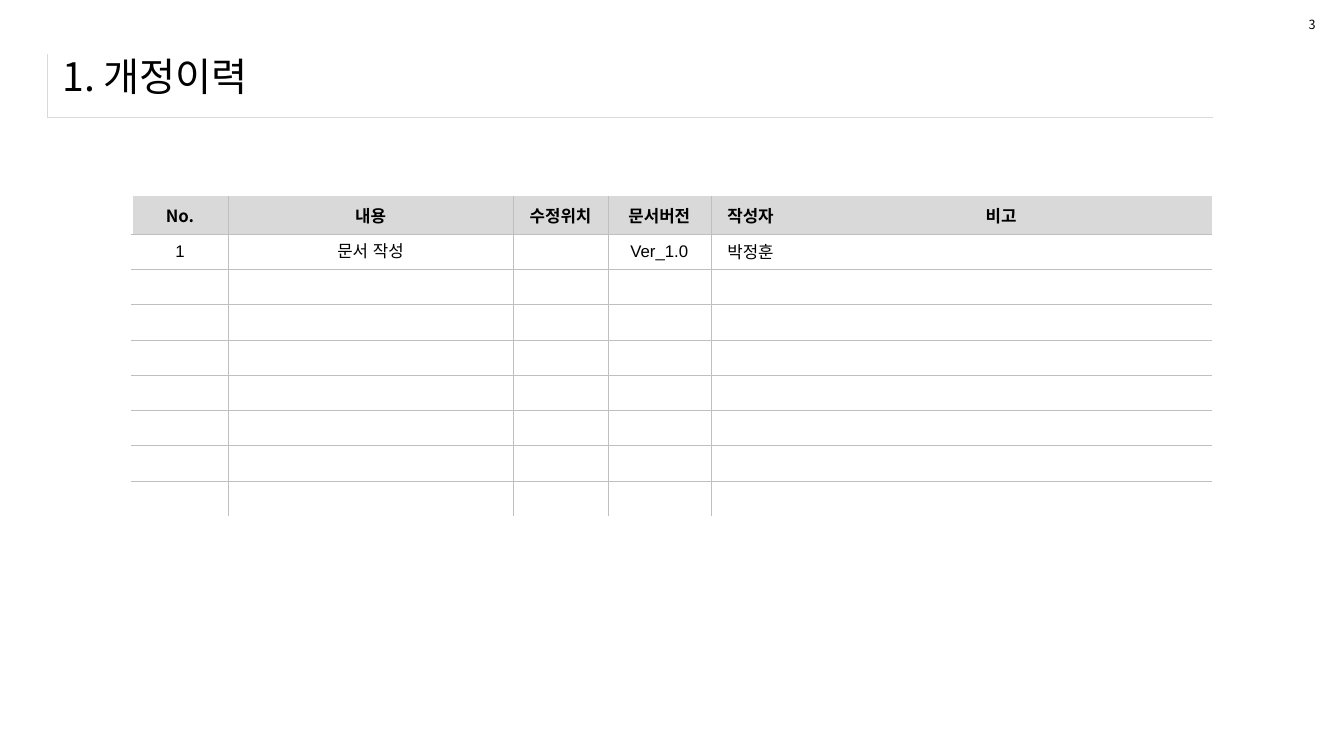
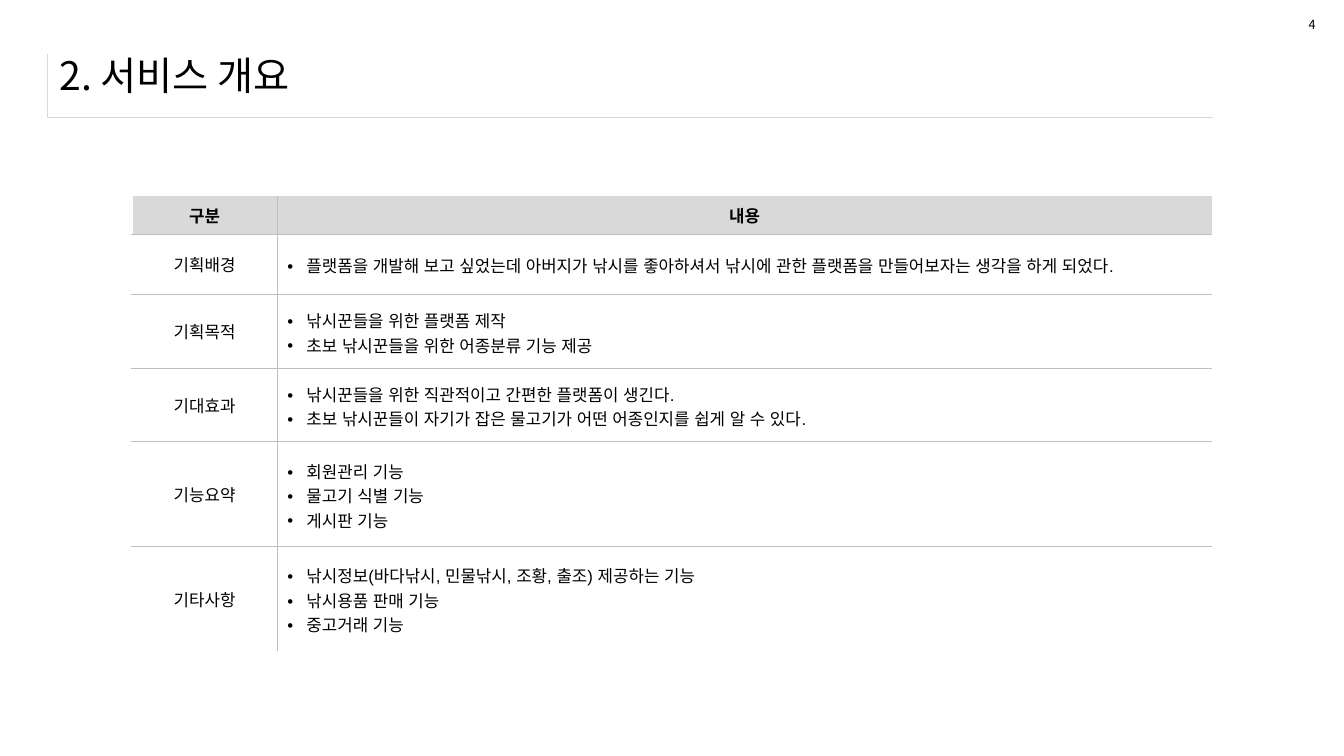
import pptx
import pptx.dml.color
import pptx.enum.text
import pptx.oxml.ns
import pptx.util
from lxml import etree

Inches = pptx.util.Inches
Pt = pptx.util.Pt
RGBColor = pptx.dml.color.RGBColor
Align = pptx.enum.text.PP_ALIGN
Anchor = pptx.enum.text.MSO_ANCHOR
qn = pptx.oxml.ns.qn

BLACK = RGBColor(0x00, 0x00, 0x00)
WHITE = RGBColor(0xFF, 0xFF, 0xFF)
LIGHT_GRAY = RGBColor(0xD9, 0xD9, 0xD9)
RULE_GRAY = RGBColor(0xBF, 0xBF, 0xBF)

KOREAN_FONT = "Noto Sans CJK KR"
LATIN_FONT = "Arial"
TITLE_FONT = {"name": KOREAN_FONT, "size": Pt(28)}
PAGE_FONT = {"name": KOREAN_FONT, "size": Pt(9)}
HEADER_FONT = {"name": KOREAN_FONT, "size": Pt(12), "bold": True}
BODY_FONT = {"name": LATIN_FONT, "size": Pt(12), "bold": False}
AUTHOR_FONT = {"name": KOREAN_FONT, "size": Pt(12), "bold": False}

CENTERED = {"alignment": Align.CENTER}
LABEL = {"alignment": Align.CENTER, "line_spacing": 1.2}
BULLETED = {"alignment": Align.JUSTIFY, "line_spacing": 1.3}

FRAME_RULE = (LIGHT_GRAY, 0.25)
THIN_RULE = (RULE_GRAY, 0.25)
WHITE_EDGE = (WHITE, 1)

FRAME_POSITION = (0.47, 0.54)
TABLE_POSITION = (1.31, 1.94)

HISTORY_ROWS = [
    ["No.", "내용", "수정위치", "문서버전", "작성자", "비고"],
    ["1", "문서 작성", "", "Ver_1.0", "박정훈", ""],
] + [[""] * 6] * 7

OVERVIEW_ROWS = [
    ["구분", "내용"],
    ["기획배경", ["플랫폼을 개발해 보고 싶었는데 아버지가 낚시를 좋아하셔서 "
              "낚시에 관한 플랫폼을 만들어보자는 생각을 하게 되었다."]],
    ["기획목적", ["낚시꾼들을 위한 플랫폼 제작",
              "초보 낚시꾼들을 위한 어종분류 기능 제공"]],
    ["기대효과", ["낚시꾼들을 위한 직관적이고 간편한 플랫폼이 생긴다.",
              "초보 낚시꾼들이 자기가 잡은 물고기가 어떤 어종인지를 쉽게 알 수 있다."]],
    ["기능요약", ["회원관리 기능", "물고기 식별 기능", "게시판 기능"]],
    ["기타사항", ["낚시정보(바다낚시, 민물낚시, 조황, 출조) 제공하는 기능",
              "낚시용품 판매 기능", "중고거래 기능"]],
]


def apply_format(target, values):
    for name, value in values.items():
        setattr(target, name, value)


def write_paragraph(paragraph, text, font, layout):
    apply_format(paragraph, layout)
    if not text:
        end = etree.SubElement(paragraph._p, qn("a:endParaRPr"))
        end.set("sz", str(int(font["size"].pt * 100)))
        return
    run = paragraph.add_run()
    run.text = text
    apply_format(run.font, font)
    run.font.color.rgb = BLACK
    east_asian = etree.SubElement(run._r.get_or_add_rPr(), qn("a:ea"))
    east_asian.set("typeface", font["name"])


def add_bullet(paragraph):
    properties = paragraph._p.get_or_add_pPr()
    properties.set("marL", str(Inches(0.19)))
    properties.set("indent", str(Inches(-0.19)))
    etree.SubElement(properties, qn("a:buFont")).set("typeface", LATIN_FONT)
    etree.SubElement(properties, qn("a:buChar")).set("char", "•")


def add_text(slide, box, text, font, frame_format):
    shape = slide.shapes.add_textbox(*map(Inches, box))
    apply_format(shape.text_frame, frame_format)
    write_paragraph(shape.text_frame.paragraphs[0], text, font, {})


def set_borders(cell, borders):
    properties = cell._tc.get_or_add_tcPr()
    for side in ("L", "R", "T", "B"):
        line = etree.SubElement(properties, qn("a:ln" + side))
        if side not in borders:
            etree.SubElement(line, qn("a:noFill"))
            continue
        color, width = borders[side]
        line.set("w", str(Pt(width)))
        fill = etree.SubElement(line, qn("a:solidFill"))
        etree.SubElement(fill, qn("a:srgbClr")).set("val", str(color))


def cell_borders(row, column, last_row, divider_count):
    borders = {}
    if column == 0:
        borders["L"] = WHITE_EDGE
    elif column <= divider_count:
        borders["L"] = THIN_RULE
    if column < divider_count:
        borders["R"] = THIN_RULE
    if row > 0:
        borders["T"] = THIN_RULE
    if row < last_row:
        borders["B"] = THIN_RULE
    return borders


def fill_cell(cell, content, font, layout):
    cell.vertical_anchor = Anchor.MIDDLE
    if font is HEADER_FONT:
        cell.fill.solid()
        cell.fill.fore_color.rgb = LIGHT_GRAY
    else:
        cell.fill.background()
    frame = cell.text_frame
    if isinstance(content, str):
        write_paragraph(frame.paragraphs[0], content, font, layout)
        return
    for index, item in enumerate(content):
        paragraph = frame.add_paragraph() if index else frame.paragraphs[0]
        write_paragraph(paragraph, item, font, BULLETED)
        add_bullet(paragraph)


def add_plain_table(slide, position, widths, heights):
    box = (*position, sum(widths), sum(heights))
    table = slide.shapes.add_table(
        len(heights), len(widths), *map(Inches, box)).table
    apply_format(table, {"first_row": False, "horz_banding": False})
    for column, width in zip(table.columns, widths):
        column.width = Inches(width)
    for row, height in zip(table.rows, heights):
        row.height = Inches(height)
    return table


def add_ruled_table(slide, rows, widths, heights, divider_count,
                    column_fonts, body_layout):
    table = add_plain_table(slide, TABLE_POSITION, widths, heights)
    for row_index, row in enumerate(rows):
        for column_index, content in enumerate(row):
            cell = table.cell(row_index, column_index)
            set_borders(cell, cell_borders(
                row_index, column_index, len(rows) - 1, divider_count))
            if row_index == 0:
                fill_cell(cell, content, HEADER_FONT, CENTERED)
            else:
                fill_cell(cell, content, column_fonts[column_index], body_layout)


def add_title_frame(slide):
    cell = add_plain_table(slide, FRAME_POSITION, [11.56], [0.62]).cell(0, 0)
    set_borders(cell, {"L": FRAME_RULE, "B": FRAME_RULE})
    fill_cell(cell, "", BODY_FONT, {})


def add_page(presentation, title, title_box, page_number):
    slide = presentation.slides.add_slide(presentation.slide_layouts[6])
    add_title_frame(slide)
    add_text(slide, title_box, title, TITLE_FONT,
             {"word_wrap": True, "vertical_anchor": Anchor.MIDDLE})
    add_text(slide, (12.88, 0.12, 0.27, 0.25), page_number, PAGE_FONT,
             {"word_wrap": False})
    return slide


def main():
    presentation = pptx.Presentation()
    apply_format(presentation, {"slide_width": Inches(13.33),
                                "slide_height": Inches(7.5)})
    history = add_page(presentation, "1. 개정이력", (0.52, 0.44, 12.49, 0.63), "3")
    add_ruled_table(history, HISTORY_ROWS, [0.95, 2.83, 0.94, 1.02, 0.79, 4.18],
                    [0.38] + [0.35] * 8, 4,
                    [BODY_FONT] * 4 + [AUTHOR_FONT] * 2, CENTERED)
    overview = add_page(presentation, "2. 서비스 개요", (0.49, 0.41, 12.49, 0.67), "4")
    add_ruled_table(overview, OVERVIEW_ROWS, [1.44, 9.27],
                    [0.38, 0.6, 0.73, 0.73, 1.04, 1.04], 1,
                    [BODY_FONT] * 2, LABEL)
    presentation.save("out.pptx")


if __name__ == "__main__":
    main()
